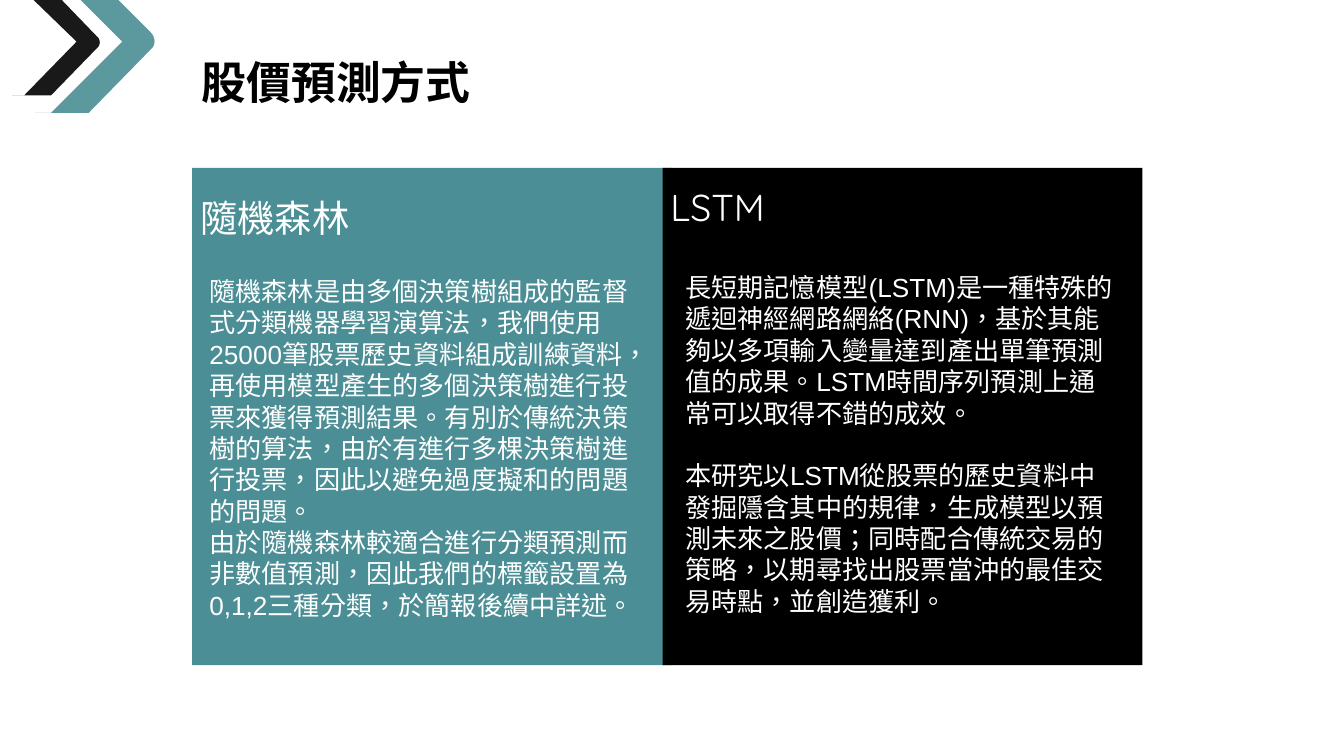
from lxml import etree
from pptx import Presentation
from pptx.dml.color import RGBColor
from pptx.enum.lang import MSO_LANGUAGE_ID as LANG
from pptx.enum.shapes import MSO_SHAPE
from pptx.enum.text import MSO_AUTO_SIZE
from pptx.oxml.ns import qn
from pptx.util import Inches, Pt

TEAL, BLACK, WHITE = "4B8E95", "000000", "FFFFFF"
LINE_GAP = 16.8  # one empty line of 14 pt text

FOREST = [
    "隨機森林是由多個決策樹組成的監督式分類機器學習演算法，我們使用25000筆股票歷史資料組成訓練資料，"
    "再使用模型產生的多個決策樹進行投票來獲得預測結果。有別於傳統決策樹的算法，"
    "由於有進行多棵決策樹進行投票，因此以避免過度擬和的問題的問題。",
    "由於隨機森林較適合進行分類預測而非數值預測，因此我們的標籤設置為0,1,2三種分類，於簡報後續中詳述。",
]
LSTM = [
    "長短期記憶模型(LSTM)是一種特殊的遞迴神經網路網絡(RNN)，基於其能夠以多項輸入變量達到產出"
    "單筆預測值的成果。LSTM時間序列預測上通常可以取得不錯的成效。",
    "本研究以LSTM從股票的歷史資料中發掘隱含其中的規律，生成模型以預測未來之股價；"
    "同時配合傳統交易的策略，以期尋找出股票當沖的最佳交易時點，並創造獲利。",
]


def paint(sp, color, alpha=None):
    sp.shadow.inherit = False
    sp.fill.solid()
    sp.fill.fore_color.rgb = RGBColor.from_string(color)
    sp.line.fill.background()
    if alpha:
        clr = sp.fill._xPr.find(qn("a:solidFill"))[0]
        etree.SubElement(clr, qn("a:alpha")).set("val", str(alpha * 1000))


def add_text(s, box, paragraphs, size, font, color, bold=False, inset=(0.1, 0.1), gap=0):
    tf = s.shapes.add_textbox(*map(Inches, box)).text_frame
    tf.word_wrap = True
    tf.auto_size = MSO_AUTO_SIZE.SHAPE_TO_FIT_TEXT
    tf.margin_left = tf.margin_right = Inches(inset[0])
    tf.margin_top = tf.margin_bottom = Inches(inset[1])
    for i, text in enumerate(paragraphs):
        p = tf.add_paragraph() if i else tf.paragraphs[0]
        if i and gap:
            p.space_before = Pt(gap)
        r = p.add_run()
        r.text = text
        r.font.size, r.font.name, r.font.bold = Pt(size), font, bold
        r.font.language_id = LANG.TRADITIONAL_CHINESE
        r.font.color.rgb = RGBColor.from_string(color)


def bezier(p0, p1, p2, p3, steps=8):
    """Points along a cubic curve, both ends included."""
    ts = [i / steps for i in range(steps + 1)]
    return [tuple((1 - t) ** 3 * a + 3 * t * (1 - t) ** 2 * b + 3 * t * t * (1 - t) * c + t ** 3 * d
                  for a, b, c, d in zip(p0, p1, p2, p3)) for t in ts]


def add_chevron(s, before, tip, after, color):
    """Arrow outline: the lower edge, a rounded tip, then the upper edge."""
    points = before + bezier(*tip) + after
    fb = s.shapes.build_freeform(*map(Inches, points[0]), scale=1.0)
    fb.add_line_segments([tuple(map(Inches, pt)) for pt in points[1:]], close=True)
    paint(fb.convert_to_shape(), color, alpha=90)


def add_corner(s):
    add_chevron(s, [(0.26, 0.84), (0.66, 0.84)],
                [(1.12, 0.37), (1.16, 0.34), (1.16, 0.28), (1.12, 0.24)],
                [(0.88, 0), (0.6, 0), (0.91, 0.31), (0.38, 0.84)], TEAL)
    add_chevron(s, [(0.09, 0.71), (0.38, 0.71)],
                [(0.72, 0.36), (0.75, 0.34), (0.75, 0.29), (0.72, 0.27)],
                [(0.46, 0), (0.25, 0), (0.57, 0.31), (0.18, 0.71)], BLACK)


def add_panel(s, box, color, heading, heading_dy, body, body_box, gap=0):
    """Coloured panel; body_box is left, top, width, height from the panel's corner."""
    x, y, w, h = box
    paint(s.shapes.add_shape(MSO_SHAPE.RECTANGLE, *map(Inches, box)), color)
    add_text(s, (x - 0.04, y + heading_dy, 2.66, 0.54), [heading], 20, "Quicksand", WHITE)
    dx, dy, bw, bh = body_box
    add_text(s, (x + dx, y + dy, bw, bh), body, 14, "Arial", WHITE, gap=gap)


def main():
    prs = Presentation()
    prs.slide_width = Inches(10)
    prs.slide_height = prs.slide_width * 9 // 16
    s = prs.slides.add_slide(prs.slide_layouts[6])

    # Corner chevrons and title
    add_corner(s)
    add_text(s, (1.43, 0.37, 2.49, 0.48), ["股價預測方式"], 24, "Quicksand", BLACK,
             bold=True, inset=(0.07, 0.04))

    # Two methods side by side
    add_panel(s, (1.43, 1.25, 3.57, 3.7), TEAL, "隨機森林", 0.1,
              FOREST, (0.03, 0.7, 3.47, 3.03))
    add_panel(s, (4.93, 1.25, 3.57, 3.7), BLACK, "LSTM", 0.02,
              LSTM, (0.07, 0.67, 3.41, 3.03), gap=LINE_GAP)

    prs.save("out.pptx")


if __name__ == "__main__":
    main()
